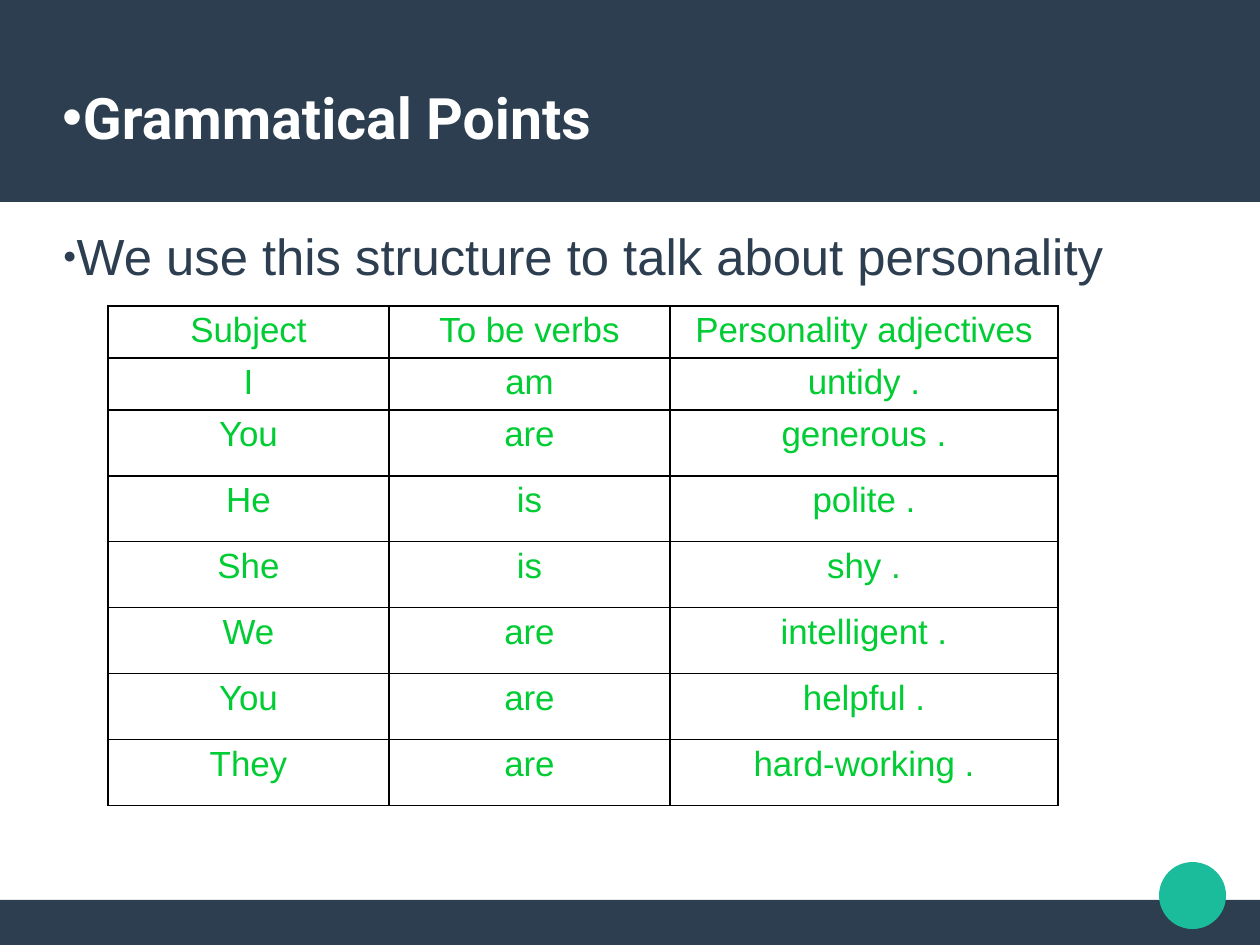
from pptx import Presentation
from pptx.dml.color import RGBColor
from pptx.enum.shapes import MSO_SHAPE as SHAPE
from pptx.enum.text import MSO_ANCHOR as ANCHOR, PP_ALIGN as ALIGN
from pptx.oxml import parse_xml
from pptx.oxml.ns import nsdecls
from pptx.util import Pt

PX = 8000  # EMU per px
NAVY = RGBColor(0x2C, 0x3E, 0x50)
TEAL = RGBColor(0x1A, 0xBC, 0x9C)
GREEN = RGBColor(0x00, 0xCC, 0x33)
WHITE = RGBColor(0xFF, 0xFF, 0xFF)

deck = Presentation()
deck.slide_width, deck.slide_height = 1260 * PX, 945 * PX
slide = deck.slides.add_slide(deck.slide_layouts[6])

# Bands at top and bottom, and the corner circle
for kind, left, top, width, height, color in [
    (SHAPE.RECTANGLE, 0, 900, 1260, 45, NAVY),
    (SHAPE.RECTANGLE, 0, 0, 1260, 202, NAVY),
    (SHAPE.OVAL, 1159, 862, 67, 67, TEAL),
]:
    decoration = slide.shapes.add_shape(kind, left * PX, top * PX, width * PX, height * PX)
    decoration.shadow.inherit = False
    decoration.fill.solid()
    decoration.fill.fore_color.rgb = color
    decoration.line.fill.background()


def style(paragraph, font_name, size, color, bold=False):
    for run in paragraph.runs:
        font = run.font
        font.name, font.size, font.bold = font_name, Pt(size), bold
        font.color.rgb = color


# Heading and introduction, each with a bullet
for text, top, height, anchor, bullet, bullet_size, look in [
    ("Grammatical Points", 38, 158, ANCHOR.MIDDLE, "•", 100, ("Roboto", 36, WHITE, True)),
    ("We use this structure to talk about personality", 225, 75, ANCHOR.TOP, "●", 45,
     ("Arial", 32, NAVY)),
]:
    frame = slide.shapes.add_textbox(63 * PX, top * PX, 1134 * PX, height * PX).text_frame
    frame.word_wrap = True
    frame.vertical_anchor = anchor
    frame.margin_left = frame.margin_right = frame.margin_top = frame.margin_bottom = 0
    frame.text = text
    line = frame.paragraphs[0]
    style(line, *look)
    properties = line._p.get_or_add_pPr()
    properties.append(parse_xml(f'<a:buSzPct {nsdecls("a")} val="{bullet_size * 1000}"/>'))
    properties.append(parse_xml(f'<a:buFont {nsdecls("a")} typeface="Arial"/>'))
    properties.append(parse_xml(f'<a:buChar {nsdecls("a")} char="{bullet}"/>'))

# Grammar table
sentences = [
    ("Subject", "To be verbs", "Personality adjectives"),
    ("I", "am", "untidy ."),
    ("You", "are", "generous ."),
    ("He", "is", "polite ."),
    ("She", "is", "shy ."),
    ("We", "are", "intelligent ."),
    ("You", "are", "helpful ."),
    ("They", "are", "hard-working ."),
]
column_widths = [281, 281, 388]
row_heights = [50] * 2 + [66] * 6
grammar = slide.shapes.add_table(
    len(sentences), len(column_widths), 108 * PX, 306 * PX,
    sum(column_widths) * PX, sum(row_heights) * PX).table
grammar.first_row = grammar.horz_banding = False
for column, width in zip(grammar.columns, column_widths):
    column.width = width * PX
for row, height, words in zip(grammar.rows, row_heights, sentences):
    row.height = height * PX
    for cell, word in zip(row.cells, words):
        cell.text = word
        cell.margin_top = cell.margin_bottom = 5 * PX
        paragraph = cell.text_frame.paragraphs[0]
        paragraph.alignment = ALIGN.CENTER
        style(paragraph, "Arial", 22, GREEN)
        borders = cell._tc.get_or_add_tcPr()
        for side in ("lnL", "lnR", "lnT", "lnB"):
            borders.append(parse_xml(
                f'<a:{side} {nsdecls("a")} w="12700"><a:solidFill>'
                f'<a:srgbClr val="000000"/></a:solidFill></a:{side}>'))
        cell.fill.background()

deck.save("out.pptx")
